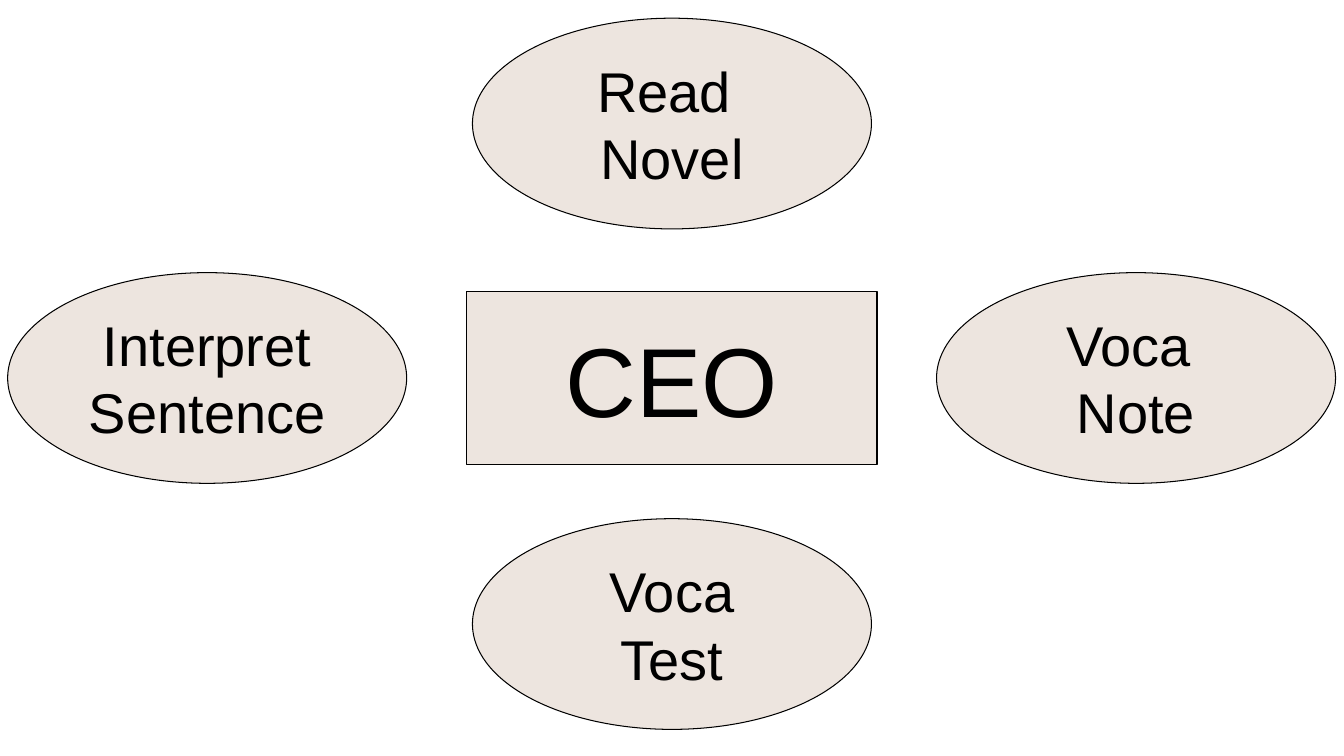
from pptx import Presentation
from pptx.dml.color import RGBColor
from pptx.enum.shapes import MSO_SHAPE
from pptx.enum.text import MSO_ANCHOR, PP_ALIGN
from pptx.util import Pt

OVAL, RECTANGLE = MSO_SHAPE.OVAL, MSO_SHAPE.RECTANGLE
MIDDLE, CENTER = MSO_ANCHOR.MIDDLE, PP_ALIGN.CENTER

COLORS = {"fill": "EDE5DF", "ink": "000000"}
SLIDE_WIDTH, SLIDE_HEIGHT = 960, 540
ACTIVITY_SIZE = (285, 150.5)
CEO_SIZE = (293, 124)
INSET = 7.2
FRAME_FORMAT = {
    "margin_left": Pt(INSET), "margin_right": Pt(INSET),
    "margin_top": Pt(INSET), "margin_bottom": Pt(INSET),
    "vertical_anchor": MIDDLE, "word_wrap": True,
}
ACTIVITIES = [
    (0, -181.75, ["Read ", "Novel"]),
    (0, 175.75, ["Voca", "Test"]),
    (331.5, 0, ["Voca ", "Note"]),
    (-332, 0, ["Interpret Sentence"]),
]


def color(name):
    """Return the named palette colour."""
    return RGBColor.from_string(COLORS[name])


def add_node(slide, kind, center, size, lines, font_size):
    """Draw a labelled node around its center."""
    (x, y), (width, height) = center, size
    node = slide.shapes.add_shape(
        kind, Pt(x - width / 2), Pt(y - height / 2), Pt(width), Pt(height))
    node.shadow.inherit = False
    node.fill.solid()
    node.fill.fore_color.rgb = color("fill")
    node.line.color.rgb = color("ink")
    node.line.width = Pt(0.75)
    frame = node.text_frame
    for attribute, value in FRAME_FORMAT.items():
        setattr(frame, attribute, value)
    for index, line in enumerate(lines):
        paragraph = frame.paragraphs[0] if index == 0 else frame.add_paragraph()
        paragraph.alignment = CENTER
        run = paragraph.add_run()
        run.text = line
        for attribute, value in {"name": "Arial", "size": Pt(font_size)}.items():
            setattr(run.font, attribute, value)
        run.font.color.rgb = color("ink")


def add_ceo_map(slide, left, top, width, height):
    """Place the CEO in the middle of the box with its activities around it."""
    x, y = left + width / 2, top + height / 2
    add_node(slide, RECTANGLE, (x, y), CEO_SIZE, ["CEO"], 70)
    for dx, dy, lines in ACTIVITIES:
        add_node(slide, OVAL, (x + dx, y + dy), ACTIVITY_SIZE, lines, 40)


def main():
    """Build and save the presentation."""
    presentation = Presentation()
    presentation.slide_width = Pt(SLIDE_WIDTH)
    presentation.slide_height = Pt(SLIDE_HEIGHT)
    slide = presentation.slides.add_slide(presentation.slide_layouts[6])
    add_ceo_map(slide, 0, 0, SLIDE_WIDTH, SLIDE_HEIGHT)
    presentation.save("out.pptx")


if __name__ == "__main__":
    main()
